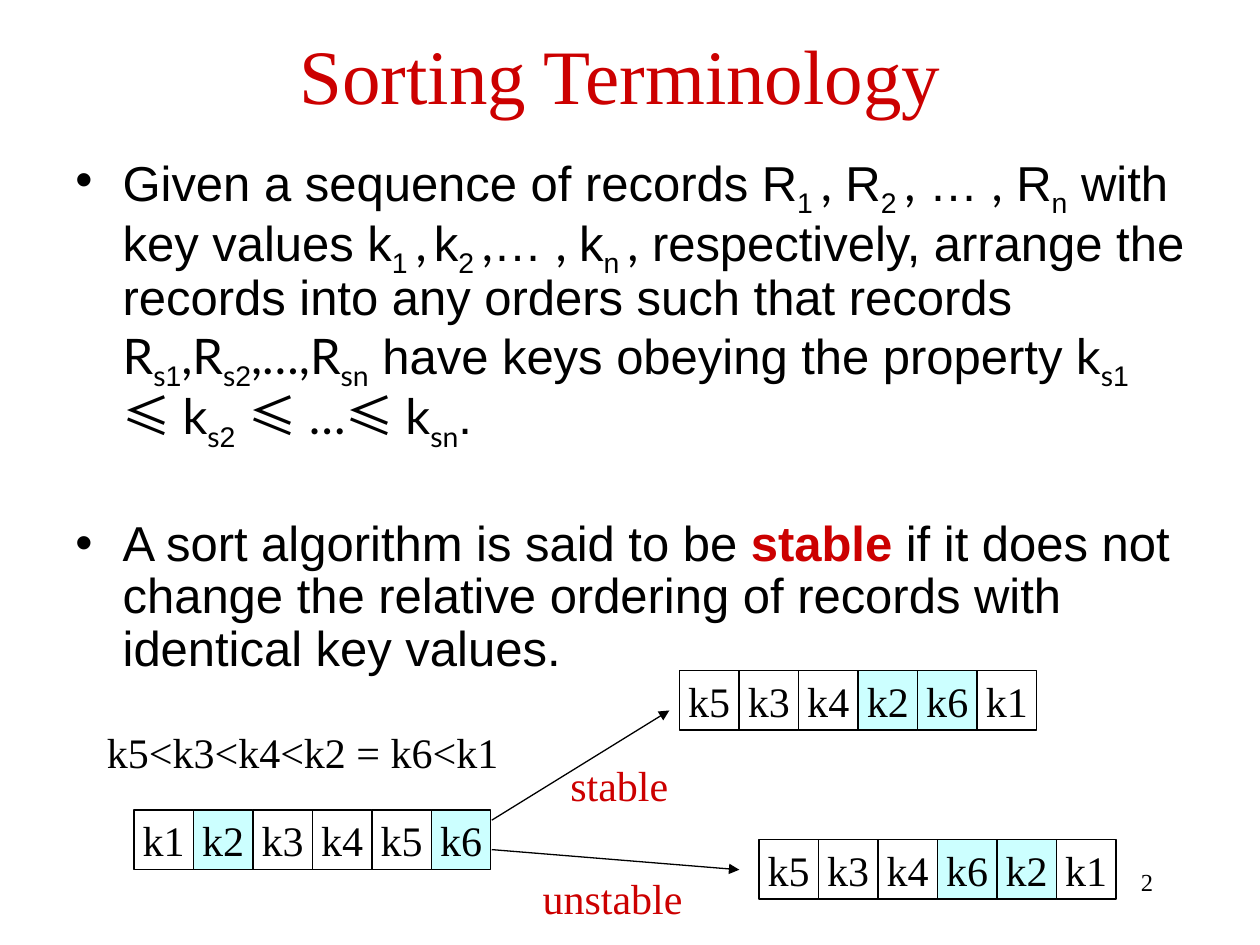
from dataclasses import dataclass

from lxml.etree import SubElement
from pptx import Presentation
from pptx.dml.color import RGBColor as Rgb
from pptx.enum.shapes import MSO_CONNECTOR as Link, MSO_SHAPE as Shape
from pptx.enum.text import MSO_ANCHOR as Anchor, PP_ALIGN as Align
from pptx.oxml.ns import qn
from pptx.util import Pt


@dataclass(frozen=True)
class Theme:
    ink: Rgb = Rgb(0, 0, 0)
    red: Rgb = Rgb(0xCC, 0, 0)
    tint: Rgb = Rgb(0xCC, 0xFF, 0xFF)
    serif: str = "Times New Roman"
    sans: str = "Arial"
    alt: str = "Lato"
    math: str = "Noto Sans CJK SC"
    title: int = 44
    body: int = 28
    label: int = 24
    small: int = 14
    line: float = 0.75


T = Theme()

# Each run: text, font, subscript or not
RECORDS = [
    ("Given a sequence of records R", T.sans, 0), ("1 ", T.sans, 1),
    (",", T.alt, 0), (" R", T.sans, 0), ("2 ", T.sans, 1),
    (",", T.alt, 0), (" … ", T.sans, 0), (",", T.alt, 0),
    (" R", T.sans, 0), ("n", T.sans, 1),
    (" with key values k", T.sans, 0), ("1 ", T.sans, 1),
    (",", T.alt, 0), (" ", T.alt, 1), ("k", T.sans, 0), ("2 ", T.sans, 1),
    (",", T.alt, 0), ("… ", T.sans, 0), (", ", T.alt, 0),
    ("k", T.sans, 0), ("n ", T.sans, 1), (",", T.alt, 0),
    (" respectively, arrange the records into any orders "
     "such that records ", T.sans, 0),
    ("R", T.alt, 0), ("s", T.alt, 1), ("1", T.sans, 1),
    (",R", T.alt, 0), ("s", T.alt, 1), ("2", T.sans, 1),
    (",…,R", T.alt, 0), ("sn", T.alt, 1),
    (" have keys obeying the property ", T.sans, 0),
    ("k", T.alt, 0), ("s", T.alt, 1), ("1", T.sans, 1), (" ", T.sans, 0),
    ("≤ ", T.math, 0), ("k", T.alt, 0), ("s", T.alt, 1), ("2", T.sans, 1),
    (" ", T.sans, 0), ("≤ ", T.math, 0), ("…", T.alt, 0), ("≤ ", T.math, 0),
    ("k", T.alt, 0), ("sn", T.alt, 1), (".", T.sans, 0),
]


def add_run(para, text, size, face=T.serif, color=T.ink, bold=False, sub=False):
    run = para.add_run()
    run.text = text
    font = run.font
    font.size, font.name, font.bold = Pt(size), face, bold
    font.color.rgb = color
    props = font._element
    SubElement(props, qn("a:ea")).set("typeface", face)
    if sub:
        props.set("baseline", "-25000")


def add_text(slide, box, text, size, color=T.ink, align=Align.LEFT,
             anchor=Anchor.TOP):
    frame = slide.shapes.add_textbox(*map(Pt, box)).text_frame
    frame.word_wrap = True
    frame.vertical_anchor = anchor
    para = frame.paragraphs[0]
    para.alignment = align
    add_run(para, text, size, color=color)


def set_bullet(para, indent=27):
    props = para._p.get_or_add_pPr()
    props.set("marL", str(Pt(indent)))
    props.set("indent", str(-Pt(indent)))
    SubElement(props, qn("a:buFont")).set("typeface", T.sans)
    SubElement(props, qn("a:buChar")).set("char", "•")
    para.line_spacing = 0.9


def add_body(slide, box):
    frame = slide.shapes.add_textbox(*map(Pt, box)).text_frame
    frame.word_wrap = True
    first = frame.paragraphs[0]
    set_bullet(first)
    for text, face, sub in RECORDS:
        add_run(first, text, T.body, face, sub=sub)
    second = frame.add_paragraph()
    set_bullet(second)
    second.space_before = Pt(41)
    add_run(second, "A sort algorithm is said to be ", T.body, T.sans)
    add_run(second, "stable", T.body, T.sans, T.red, bold=True)
    add_run(second, " if it does not change the relative ordering of records "
            "with identical key values.", T.body, T.sans)


def add_keys(slide, left, top, keys, side=34):
    """Draw a row of square cells, tinting the two equal keys."""
    for i, key in enumerate(keys.split()):
        box = (left + i * side, top, side, side)
        cell = slide.shapes.add_shape(Shape.RECTANGLE, *map(Pt, box))
        cell.shadow.inherit = False
        if key in ("k2", "k6"):
            cell.fill.solid()
            cell.fill.fore_color.rgb = T.tint
        else:
            cell.fill.background()
        cell.line.color.rgb = T.ink
        cell.line.width = Pt(T.line)
        frame = cell.text_frame
        frame.word_wrap = False
        frame.vertical_anchor = Anchor.MIDDLE
        para = frame.paragraphs[0]
        para.alignment = Align.CENTER
        add_run(para, key, T.label)


def add_arrow(slide, *ends):
    arrow = slide.shapes.add_connector(Link.STRAIGHT, *map(Pt, ends))
    arrow.line.color.rgb = T.ink
    arrow.line.width = Pt(T.line)
    SubElement(arrow.line._get_or_add_ln(), qn("a:tailEnd")).set("type", "triangle")
    SubElement(arrow._element.spPr, qn("a:effectLst"))


def add_demo(slide, left, top):
    """Show one input row sorted in a stable and in an unstable way."""
    add_keys(slide, left + 22.5, top + 79.8, "k1 k2 k3 k4 k5 k6")
    add_keys(slide, left + 334.3, top + 0.2, "k5 k3 k4 k2 k6 k1")
    add_keys(slide, left + 379.7, top + 96.7, "k5 k3 k4 k6 k2 k1")
    add_arrow(slide, left + 227, top + 85.7, left + 328.5, top + 23)
    add_arrow(slide, left + 227, top + 102.5, left + 368.5, top + 114)
    add_text(slide, (left, top + 28.8, 246, 36), "k5<k3<k4<k2 = k6<k1", T.label)
    add_text(slide, (left + 264.8, top + 47.5, 78, 36), "stable", T.label, T.red)
    add_text(slide, (left + 249, top + 112, 102, 36), "unstable", T.label, T.red)


def main():
    deck = Presentation()
    deck.slide_width, deck.slide_height = Pt(720), Pt(540)
    slide = deck.slides.add_slide(deck.slide_layouts[6])
    add_text(slide, (516, 492, 150, 36), "2", T.small, align=Align.RIGHT)
    add_text(slide, (36, 6, 648, 72), "Sorting Terminology ", T.title, T.red,
             Align.CENTER, Anchor.MIDDLE)
    add_body(slide, (36, 84, 648, 402))
    add_demo(slide, 54, 383)
    deck.save("out.pptx")


if __name__ == "__main__":
    main()
